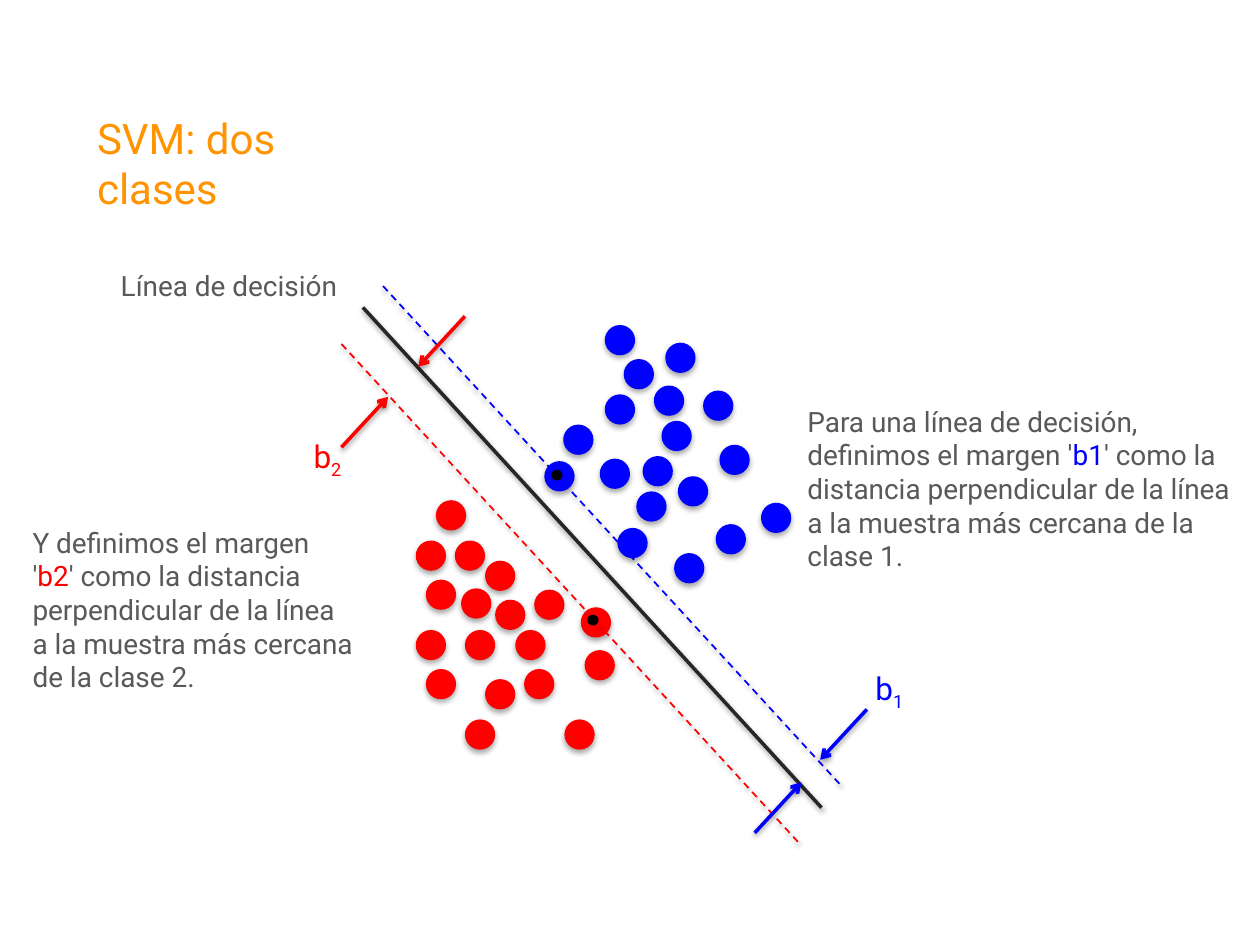
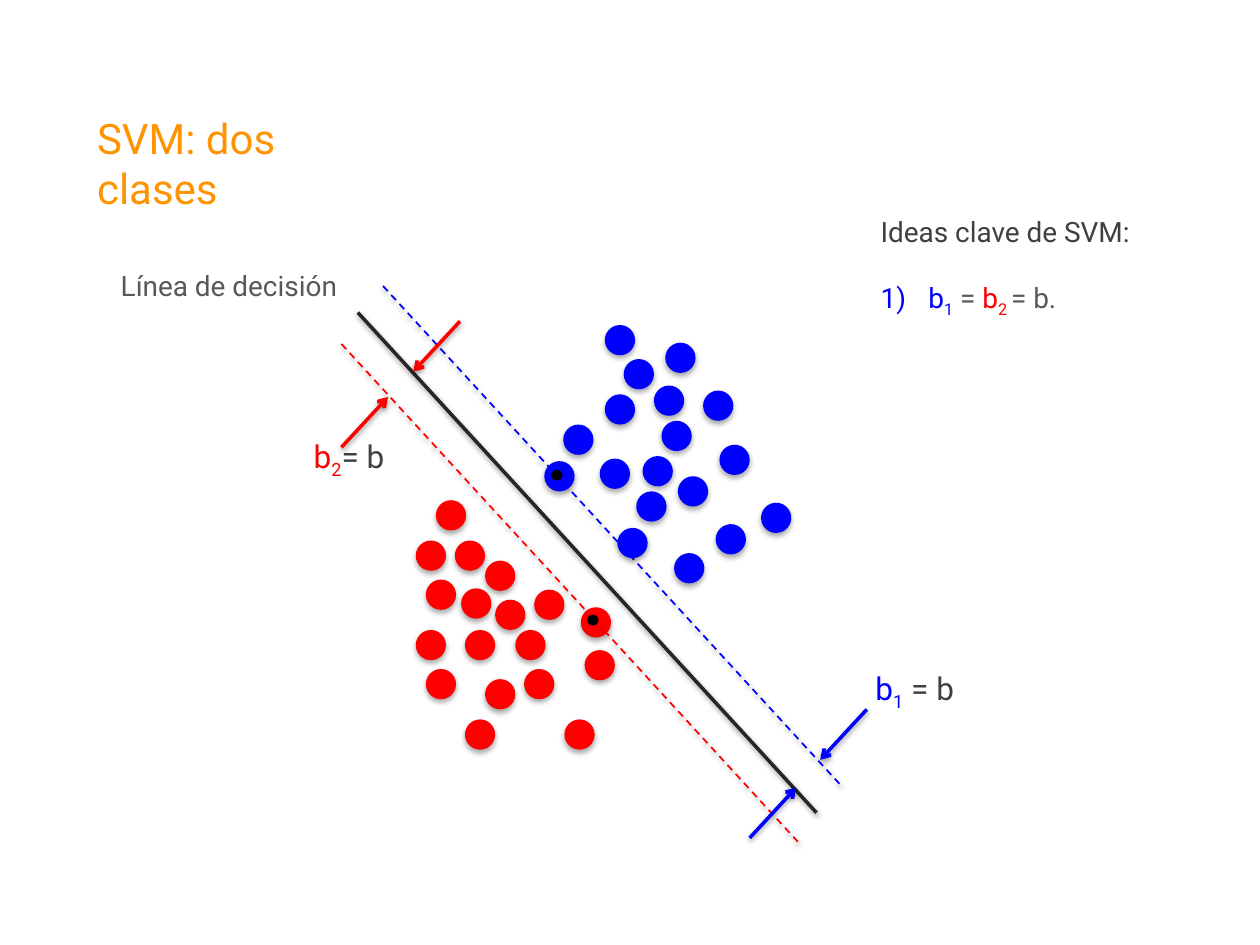
"""Build two slides on the margins of a two-class support vector machine."""
import dataclasses

import lxml.etree
import pptx
import pptx.dml.color
import pptx.enum.dml
import pptx.enum.shapes
import pptx.enum.text
import pptx.oxml.ns
import pptx.util

PX = 9144


@dataclasses.dataclass(frozen=True)
class Theme:
    """Hold the colours, font and type sizes of the deck."""
    font: str = "Roboto"
    title: str = "FF9300"
    text: str = "595959"
    strong: str = "404040"
    decision: str = "262626"
    support: str = "000000"
    class_one: str = "0000FF"
    class_two: str = "FF0000"
    title_size: int = 24
    body_size: int = 16
    label_size: int = 18
    support_size: int = 40


@dataclasses.dataclass(frozen=True)
class Box:
    """Describe a rectangle in px."""
    left: int
    top: int
    width: int
    height: int

    def inside(self, left, top, width=0, height=0):
        """Return a box placed relative to this one."""
        return Box(self.left + left, self.top + top, width, height)

    def emu(self):
        """Return the four lengths in EMU."""
        return [length * PX for length in dataclasses.astuple(self)]


THEME = Theme()
TITLE_BOX = Box(67, 84, 253, 91)
DIAGRAM_BOX = Box(86, 208, 682, 461)
DOT = 24
LINE_RUN = (364, 397)
ARROW_REACH = (37, 40)
CLASS_ONE_DOTS = [
    (96, 14), (48, 55), (63, 27), (126, 52), (44, 106), (93, 76),
    (106, 120), (58, 161), (73, 132), (136, 158), (139, 95), (103, 181),
    (87, 48), (0, 108), (15, 79), (78, 104), (172, 141), (48, 0),
]
CLASS_TWO_DOTS = [
    (16, 0), (8, 63), (0, 32), (36, 70), (39, 103), (55, 48),
    (94, 71), (86, 134), (79, 103), (131, 85), (118, 174), (134, 119),
    (31, 32), (8, 134), (0, 103), (63, 79), (39, 174), (55, 142),
]


def rgb(color):
    """Turn a hex colour into an RGB colour."""
    return pptx.dml.color.RGBColor.from_string(color)


def add_element(parent, tag, **attributes):
    """Append a drawing element with the given attributes."""
    return lxml.etree.SubElement(parent, pptx.oxml.ns.qn(tag), attributes)


def add_shadow(effects, distance, alpha):
    """Add a soft shadow that falls straight down."""
    shadow = add_element(effects, "a:outerShdw", blurRad="40000", dist=distance,
                         dir="5400000", rotWithShape="0")
    add_element(add_element(shadow, "a:srgbClr", val="000000"), "a:alpha", val=alpha)


def set_frame(frame, right_inset=10):
    """Give a text frame its wrapping, anchor and insets."""
    frame.word_wrap = True
    frame.auto_size = pptx.enum.text.MSO_AUTO_SIZE.NONE
    frame.vertical_anchor = pptx.enum.text.MSO_ANCHOR.TOP
    frame.margin_left = 10 * PX
    frame.margin_right = right_inset * PX
    frame.margin_top = frame.margin_bottom = 5 * PX


def fill_paragraph(para, pieces, size, bold=False):
    """Write (text, colour, subscript) pieces into a paragraph."""
    para.alignment = pptx.enum.text.PP_ALIGN.LEFT
    para.font.name = THEME.font
    para.font.size = pptx.util.Pt(size)
    para.font.bold = bold
    for text, color, *subscript in pieces:
        span = para.add_run()
        span.text = text
        span.font.color.rgb = rgb(color)
        if subscript:
            span._r.get_or_add_rPr().set("baseline", "-25000")


def add_text(page, box, pieces, size, right_inset=10, bold=False):
    """Add a text box with one paragraph and return its frame."""
    frame = page.shapes.add_textbox(*box.emu()).text_frame
    set_frame(frame, right_inset)
    fill_paragraph(frame.paragraphs[0], pieces, size, bold)
    return frame


def add_line(page, start, run, color, width=2, dashed=False, arrow=False):
    """Draw a shadowed line from a start box along a run."""
    end = start.inside(*run)
    ends = [length * PX for length in (start.left, start.top, end.left, end.top)]
    line = page.shapes.add_connector(pptx.enum.shapes.MSO_CONNECTOR.STRAIGHT, *ends)
    line.line.color.rgb = rgb(color)
    line.line.width = pptx.util.Pt(width)
    if dashed:
        line.line.dash_style = pptx.enum.dml.MSO_LINE.DASH
    if arrow:
        add_element(line.line._get_or_add_ln(), "a:tailEnd", type="arrow")
    effects = add_element(line._element.spPr, "a:effectLst")
    add_shadow(effects, "20000", "38000")


def add_arrows(page, upper_tip, lower_tip, color):
    """Draw two arrows that point at each other across a margin."""
    across, down = ARROW_REACH
    add_line(page, upper_tip.inside(across, -down), (-across, down), color, arrow=True)
    add_line(page, lower_tip.inside(-across, down), (across, -down), color, arrow=True)


def add_cluster(page, box, dots, color, rotation=0):
    """Scatter the samples of one class from the corner of a box."""
    for left, top in dots:
        dot = page.shapes.add_shape(pptx.enum.shapes.MSO_SHAPE.OVAL,
                                    *box.inside(left, top, DOT, DOT).emu())
        dot.rotation = rotation
        dot.fill.solid()
        dot.fill.fore_color.rgb = rgb(color)
        dot.line.fill.background()
        dot.shadow.inherit = False
        effects = dot._element.spPr.find(pptx.oxml.ns.qn("a:effectLst"))
        add_shadow(effects, "23000", "35000")


def add_diagram(page, box, shift, label_one, label_two, label_widths):
    """Draw both classes, the decision line and its two margins."""
    across, down = shift
    add_line(page, box.inside(202 + across, 36 + down), LINE_RUN, THEME.decision)
    add_text(page, box.inside(0, 0, 195, 64),
             [("Línea de decisión", THEME.text)], THEME.body_size, 0)
    add_cluster(page, box.inside(244, 189), CLASS_TWO_DOTS, THEME.class_two)
    add_line(page, box.inside(218, 19), LINE_RUN, THEME.class_one, 1, dashed=True)
    add_line(page, box.inside(185, 65), LINE_RUN, THEME.class_two, 1, dashed=True)
    add_arrows(page, box.inside(565, 395),
               box.inside(550 + across, 413 + down), THEME.class_one)
    add_arrows(page, box.inside(246 + across, 83 + down),
               box.inside(222, 107), THEME.class_two)
    width_one, width_two = label_widths
    add_text(page, box.inside(599, 318, width_one, 40), label_one, THEME.label_size, 0)
    add_text(page, box.inside(153, 134, width_two, 40), label_two, THEME.label_size, 0)
    add_cluster(page, box.inside(346, 50), CLASS_ONE_DOTS, THEME.class_one, 42.6)
    for left, top in ((339, 113), (367, 228)):
        add_text(page, box.inside(left, top, 41, 77), [(".", THEME.support)],
                 THEME.support_size, 0, bold=True)


def add_note(page, box, opening, name, color, ending):
    """Add a definition with the name of its margin in colour."""
    add_text(page, box, [(opening, THEME.text), (name, color), (ending, THEME.text)],
             THEME.body_size)


def add_ideas(page, box):
    """List the key ideas under a heading."""
    frame = add_text(page, box, [("Ideas clave de SVM:", THEME.strong)], THEME.body_size)
    para = frame.add_paragraph()
    para.space_before = pptx.util.Pt(19)
    settings = para._p.get_or_add_pPr()
    settings.set("marL", str(38 * PX))
    settings.set("indent", str(-38 * PX))
    add_element(add_element(settings, "a:buClr"), "a:srgbClr", val=THEME.class_one)
    add_element(settings, "a:buFont", typeface=THEME.font)
    add_element(settings, "a:buAutoNum", type="arabicParenR")
    fill_paragraph(para, [
        ("b", THEME.class_one), ("1", THEME.class_one, True), (" = ", THEME.text),
        ("b", THEME.class_two), ("2 ", THEME.class_two, True), ("= b.", THEME.text),
    ], THEME.body_size)


def add_page(deck):
    """Add a slide with the shared title."""
    page = deck.slides.add_slide(deck.slide_layouts[5])
    title = page.shapes.title
    title.left, title.top, title.width, title.height = TITLE_BOX.emu()
    set_frame(title.text_frame, 40)
    fill_paragraph(title.text_frame.paragraphs[0],
                   [("SVM: dos clases", THEME.title)], THEME.title_size)
    return page


def build_margins_page(deck, label_one, label_two):
    """Build the slide that defines both margins."""
    page = add_page(deck)
    add_diagram(page, DIAGRAM_BOX, (0, 0), label_one, label_two, (43, 43))
    add_note(page, Box(631, 316, 362, 172),
             "Para una línea de decisión, definimos el margen '", "b1", THEME.class_one,
             "' como la distancia perpendicular de la línea a la muestra más cercana"
             " de la clase 1.")
    add_note(page, Box(16, 412, 275, 172),
             "Y definimos el margen '", "b2", THEME.class_two,
             "' como la distancia perpendicular de la línea a la muestra más cercana"
             " de la clase 2.")


def build_ideas_page(deck, label_one, label_two):
    """Build the slide where both margins are equal."""
    page = add_page(deck)
    add_diagram(page, DIAGRAM_BOX, (-4, 4),
                label_one + [(" = b", THEME.strong)],
                label_two + [("= b", THEME.strong)], (83, 78))
    add_ideas(page, Box(689, 165, 311, 118))


def main():
    """Build and save the deck."""
    deck = pptx.Presentation()
    deck.slide_width, deck.slide_height = 1000 * PX, 750 * PX
    label_one = [("b", THEME.class_one), ("1", THEME.class_one, True)]
    label_two = [("b", THEME.class_two), ("2", THEME.class_two, True)]
    build_margins_page(deck, label_one, label_two)
    build_ideas_page(deck, label_one, label_two)
    deck.save("out.pptx")


if __name__ == "__main__":
    main()
